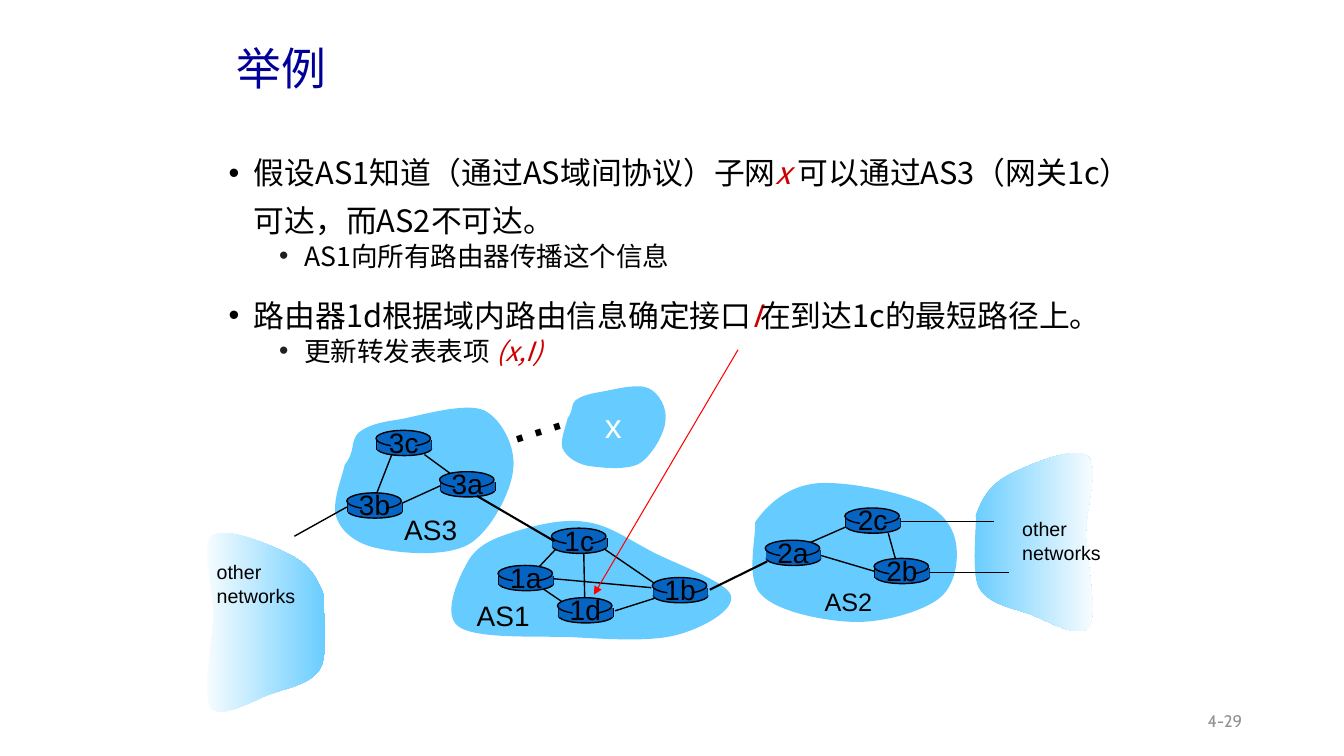
from lxml import etree
from pptx import Presentation
from pptx import util as u
from pptx.dml.color import RGBColor
from pptx.enum import shapes, text
from pptx.oxml.ns import qn

BLACK = RGBColor(0x00, 0x00, 0x00)
WHITE = RGBColor(0xFF, 0xFF, 0xFF)
NAVY = RGBColor(0x00, 0x00, 0x99)
CRIMSON = RGBColor(0xCC, 0x00, 0x00)
RED = RGBColor(0xFF, 0x00, 0x00)
GREY = RGBColor(0x91, 0x92, 0x93)
SKY = RGBColor(0x66, 0xCC, 0xFF)
ROUTER = RGBColor(0x05, 0x63, 0xC1)

COLS, ROWS = 1333, 750
CELL = u.Inches(0.01)
CJK = "Noto Sans CJK SC"

BODY = [
    (0, [("假设AS1知道（通过AS域间协议）子网", 0), ("x ", 1),
         ("可以通过AS3（网关1c）可达，而AS2不可达。", 0)]),
    (1, [("AS1向所有路由器传播这个信息", 0)]),
    (0, [("路由器1d根据域内路由信息确定接口", 0), ("I", 1),
         ("在到达1c的最短路径上。", 0)]),
    (1, [("更新转发表表项 ", 0), ("(x,I)", 1)]),
]
LEVELS = [
    dict(size=22, margin=25, spacing=1.3, before=10, bullet="000000"),
    dict(size=19, margin=75, spacing=0.8, before=5, bullet="1F1F20"),
]

OTHER_RIGHT = [
    (968, 511), (974, 495), (981, 482), (999, 472), (1018, 462), (1065, 442), (1078, 452),
    (1091, 462), (1077, 502), (1077, 531), (1078, 559), (1089, 608), (1080, 622),
    (1071, 635), (1039, 616), (1021, 609), (1003, 603), (980, 599), (971, 583),
    (963, 566), (969, 526), (968, 511)]
OTHER_LEFT = [(1289 - x, y + 79.5) for x, y in OTHER_RIGHT]
AS2 = [
    (749, 518), (760, 502), (779, 484), (806, 480), (833, 476), (887, 487), (911, 497),
    (934, 506), (945, 522), (948, 538), (951, 555), (948, 581), (931, 594),
    (914, 607), (875, 618), (846, 617), (817, 616), (771, 607), (755, 590),
    (739, 574), (750, 533), (749, 518)]
AS3 = [
    (342, 461), (353, 448), (347, 437), (356, 429), (365, 422), (376, 419), (397, 416),
    (418, 412), (461, 399), (480, 407), (498, 416), (512, 444), (509, 466),
    (507, 488), (487, 527), (465, 540), (442, 553), (397, 549), (375, 544),
    (354, 540), (339, 528), (334, 514), (328, 500), (340, 472), (342, 461)]
AS1 = [
    (466, 554), (476, 539), (493, 533), (512, 527), (532, 521), (559, 514), (582, 518),
    (605, 521), (626, 537), (650, 549), (674, 561), (722, 578), (725, 591),
    (729, 605), (698, 623), (671, 630), (645, 637), (601, 634), (565, 632),
    (528, 631), (470, 634), (454, 621), (438, 608), (456, 570), (466, 554)]
SUBNET_X = [
    (563, 415), (569, 407), (566, 401), (571, 397), (577, 393), (583, 391), (595, 389),
    (607, 387), (632, 380), (643, 385), (654, 390), (662, 405), (660, 418),
    (659, 430), (647, 452), (634, 460), (621, 467), (595, 464), (582, 462),
    (570, 459), (562, 453), (558, 445), (555, 437), (562, 421), (563, 415)]
CLOUDS = [(OTHER_RIGHT, (SKY, WHITE)), (AS2, (SKY,)), (AS3, (SKY,)), (AS1, (SKY,)),
          (OTHER_LEFT, (WHITE, SKY)), (SUBNET_X, (SKY,))]

ROUTERS = {"3b": (344, 489), "3c": (373, 427), "3a": (436, 468), "1c": (547, 524),
           "1a": (494, 561), "1d": (553, 593), "1b": (647, 573), "2a": (759, 536),
           "2c": (838, 504), "2b": (867, 554)}
LINKS = [
    (397, 500, 441, 480, 1), (795, 542, 843, 521, 1), (447, 470, 421, 451, 1),
    (389, 450, 373, 491, 1), (551, 545, 535, 562, 1), (579, 548, 580, 598, 1),
    (597, 543, 651, 580, 1), (651, 593, 610, 606, 1), (646, 583, 547, 574, 1),
    (537, 583, 559, 598, 1), (892, 517, 986, 517, 0.75), (920, 568, 1001, 568, 0.75),
    (814, 551, 868, 567, 1), (881, 529, 888, 554, 1), (344, 503, 292, 532, 1)]
GATEWAY_LINKS = [(704, 585, 761, 557, 1.5), (473, 492, 550, 537, 1.5)]
INTERFACE_ARROW = (732, 347, 589, 590, 0.75)
LABELS = [
    ("AS3", (391, 504, 73, 43), 20, BLACK, 0), ("AS2", (808, 577, 67, 40), 18, BLACK, 0),
    ("AS1", (463, 589, 73, 43), 20, BLACK, 0), ("x", (590, 397, 37, 50), 24, WHITE, 0),
    ("other\nnetworks", (1004, 508, 99, 57), 14, BLACK, 0),
    ("other\nnetworks", (205, 551, 99, 57), 14, BLACK, 0),
    ("…", (488, 368, 81, 83), 44, BLACK, 342.3)]

prs = Presentation()
prs.slide_width, prs.slide_height = COLS * CELL, ROWS * CELL
s = prs.slides.add_slide(prs.slide_layouts[6])


def cells(*counts):
    return [round(n * CELL) for n in counts]


def add_run(p, words, size, face, color, **extra):
    r = p.add_run()
    r.text = words
    for name, value in dict(size=u.Pt(size), name=face, **extra).items():
        setattr(r.font, name, value)
    r.font.color.rgb = color
    etree.SubElement(r.font._element, qn("a:ea")).set("typeface", CJK)


def text_box(box, wrap=True, anchor=text.MSO_ANCHOR.TOP, home=s):
    sp = home.shapes.add_textbox(*cells(*box))
    tf = sp.text_frame
    for name, value in dict(word_wrap=wrap, vertical_anchor=anchor).items():
        setattr(tf, name, value)
    return sp, tf


def label(words, box, size, color=BLACK, face="Arial", align=text.PP_ALIGN.LEFT,
          rotation=0, **frame):
    sp, tf = text_box(box, **frame)
    sp.rotation = rotation
    for i, line in enumerate(words.split("\n")):
        p = tf.add_paragraph() if i else tf.paragraphs[0]
        p.alignment = align
        add_run(p, line, size, face, color)


def body(box):
    tf = text_box(box)[1]
    for i, (level, runs) in enumerate(BODY):
        p = tf.add_paragraph() if i else tf.paragraphs[0]
        form = LEVELS[level]
        pPr = p._p.get_or_add_pPr()
        pPr.set("marL", str(form["margin"] * CELL))
        pPr.set("indent", str(-25 * CELL))
        color = etree.SubElement(pPr, qn("a:buClr"))
        etree.SubElement(color, qn("a:srgbClr")).set("val", form["bullet"])
        etree.SubElement(pPr, qn("a:buFont")).set("typeface", "Arial")
        etree.SubElement(pPr, qn("a:buChar")).set("char", "•")
        p.level, p.line_spacing = level, form["spacing"]
        p.space_before = u.Pt(form["before"] if i else 0)
        for words, marked in runs:
            add_run(p, words, form["size"], CJK, CRIMSON if marked else BLACK,
                    italic=bool(marked))


def cloud(points, colors):
    fb = s.shapes.build_freeform(*cells(*points[0]), scale=1.0)
    fb.add_line_segments([cells(*point) for point in points[1:]], close=True)
    sp = fb.convert_to_shape()
    steps = list(sp._element.iter(qn("a:lnTo")))
    for i in range(0, len(steps), 3):
        bend = etree.Element(qn("a:cubicBezTo"))
        steps[i].addprevious(bend)
        for step in steps[i:i + 3]:
            bend.append(step[0])
            step.getparent().remove(step)
    sp.shadow.inherit = False
    sp.line.fill.background()
    if len(colors) == 1:
        sp.fill.solid()
        sp.fill.fore_color.rgb = colors[0]
        return
    sp.fill.gradient()
    sp.fill.gradient_angle = 0
    for stop, color in zip(sp.fill.gradient_stops, colors):
        stop.color.rgb = color


def link(x1, y1, x2, y2, width, color=BLACK, arrow=False, home=s):
    cn = home.shapes.add_connector(shapes.MSO_CONNECTOR.STRAIGHT, *cells(x1, y1, x2, y2))
    cn.line.width = u.Pt(width)
    cn.line.color.rgb = color
    if arrow:
        etree.SubElement(cn.line._get_or_add_ln(), qn("a:tailEnd")).set("type", "triangle")
    etree.SubElement(cn._element.spPr, qn("a:effectLst"))


def part(home, kind, *box):
    sp = home.shapes.add_shape(kind, *cells(*box))
    sp.shadow.inherit = False
    sp.fill.solid()
    sp.fill.fore_color.rgb = ROUTER
    if kind == shapes.MSO_SHAPE.OVAL:
        sp.line.color.rgb, sp.line.width = BLACK, u.Pt(1)
    else:
        sp.line.fill.background()


def router(name, x, y):
    oval, rect = shapes.MSO_SHAPE.OVAL, shapes.MSO_SHAPE.RECTANGLE
    group = s.shapes.add_group_shape()
    part(group, oval, x + 1, y + 11, 54, 14)
    for side in (x + 1, x + 55):
        link(side, y + 10, side, y + 19, 1, home=group)
    part(group, rect, x + 1, y + 10, 54, 9)
    part(group, oval, x, y, 54, 16)
    part(group, rect, x + 15, y + 2, 24, 21)
    label(name, (x + 2, y - 10, 51, 43), 20, align=text.PP_ALIGN.CENTER, wrap=False,
          home=group)


label("举例", (225, 5, 898, 125), 32, NAVY, "Karla", anchor=text.MSO_ANCHOR.MIDDLE)
body((217, 137, 930, 366))
label("4-29", (942, 695, 300, 40), 12, GREY, "Cabin", text.PP_ALIGN.RIGHT,
      anchor=text.MSO_ANCHOR.MIDDLE)
for points, colors in CLOUDS:
    cloud(points, colors)
for ends in LINKS:
    link(*ends)
for name, corner in ROUTERS.items():
    router(name, *corner)
for ends in GATEWAY_LINKS:
    link(*ends)
for words, box, size, color, turn in LABELS:
    label(words, box, size, color, rotation=turn, wrap=False)
link(*INTERFACE_ARROW, color=RED, arrow=True)

prs.save("out.pptx")
